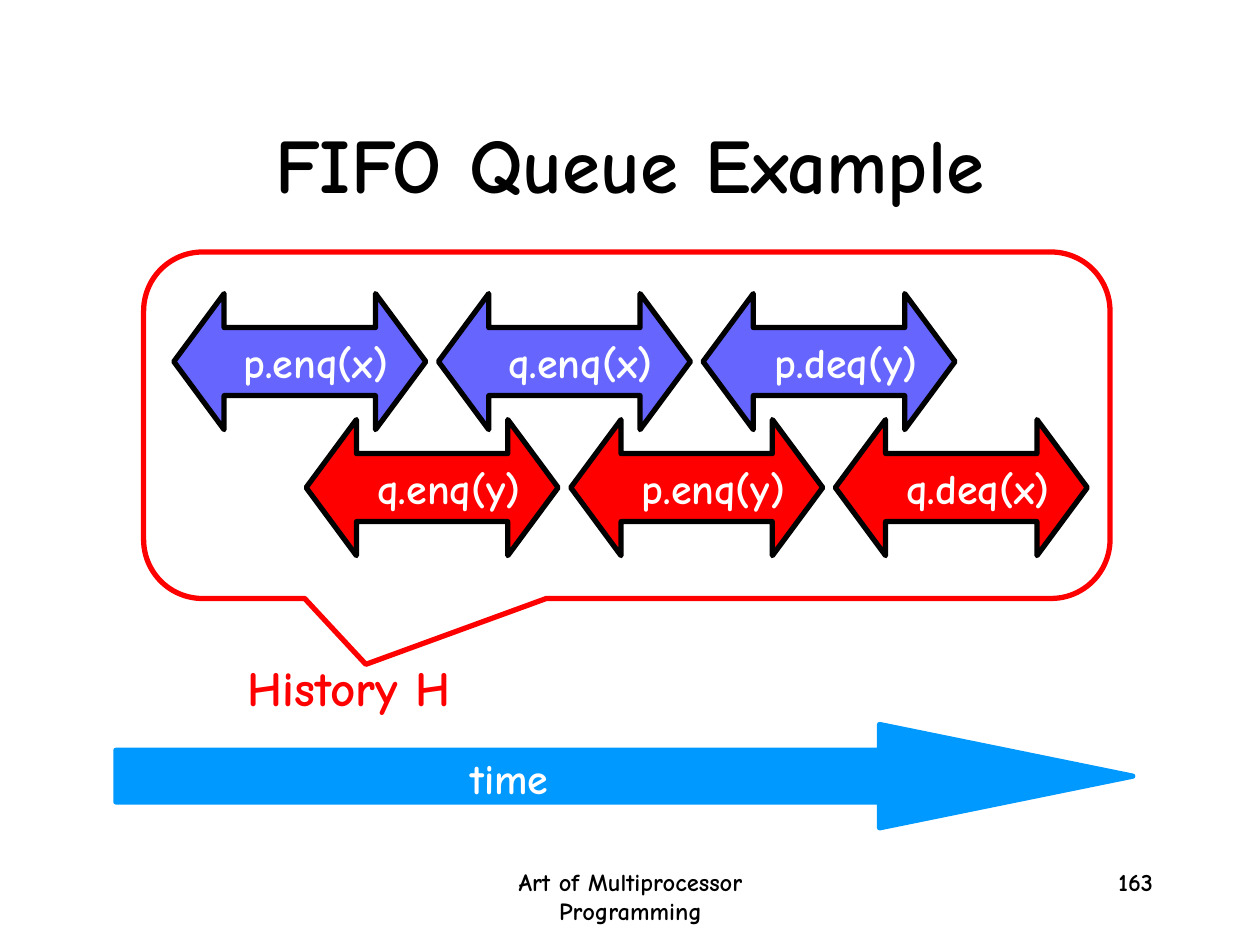
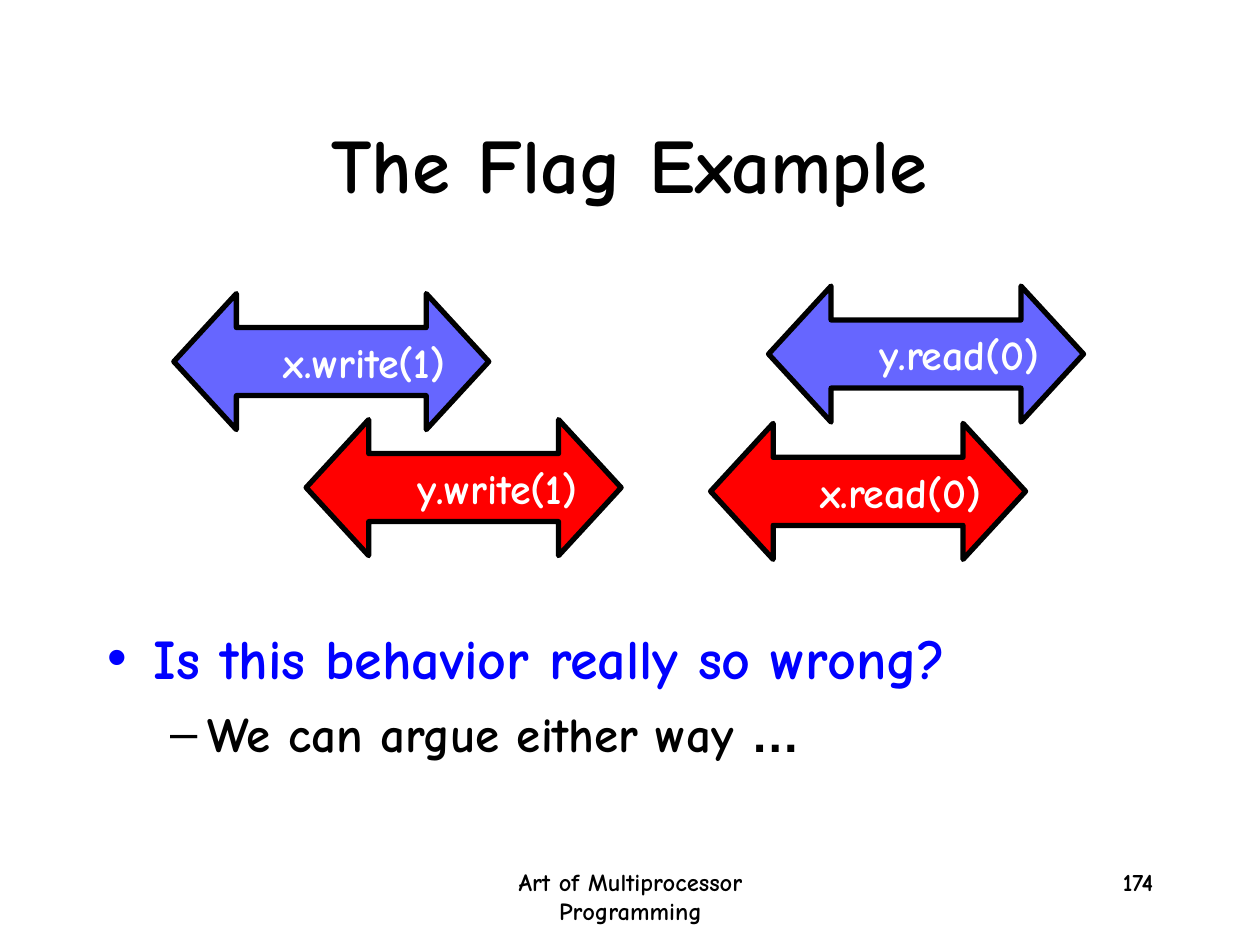
import lxml.etree
import pptx
import pptx.dml.color
import pptx.enum.shapes
import pptx.enum.text
import pptx.oxml.ns
import pptx.util

RGBColor = pptx.dml.color.RGBColor
BLACK = RGBColor(0x00, 0x00, 0x00)
WHITE = RGBColor(0xFF, 0xFF, 0xFF)
RED = RGBColor(0xFF, 0x00, 0x00)
BLUE = RGBColor(0x00, 0x00, 0xFF)
VIOLET = RGBColor(0x66, 0x66, 0xFF)
SKY = RGBColor(0x00, 0x99, 0xFF)

SHAPES = pptx.enum.shapes.MSO_SHAPE
ALIGN = pptx.enum.text.PP_ALIGN
ANCHOR = pptx.enum.text.MSO_ANCHOR
AUTO_SIZE = pptx.enum.text.MSO_AUTO_SIZE
FACE = "Comic Neue"
EMU_PER_PX = 9144
TITLE_AND_BODY, TITLE_ONLY = 1, 5


def px(*lengths):
    return [pptx.util.Emu(length * EMU_PER_PX) for length in lengths]


def write(para, text, size=24, color=WHITE, face=FACE, align=None):
    if align is not None:
        para.alignment = align
    span = para.add_run()
    span.text = text
    span.font.name = face
    span.font.size = pptx.util.Pt(size)
    span.font.bold = True
    span.font.color.rgb = color


class Page:
    def __init__(self, deck, layout, title, number):
        self.slide = deck.slides.add_slide(deck.slide_layouts[layout])
        self.shapes = self.slide.shapes
        self.label("Art of Multiprocessor Programming", 342, 683, 317, 50,
                   wrap=True, size=14, color=BLACK, align=ALIGN.CENTER)
        self.label(str(number), 717, 683, 208, 50,
                   wrap=True, size=14, color=BLACK, align=ALIGN.RIGHT)
        frame = self.place(self.shapes.title, 75, 67, 850, 125)
        frame.vertical_anchor = ANCHOR.MIDDLE
        write(frame.paragraphs[0], title, size=44, color=BLACK, align=ALIGN.CENTER)

    def place(self, holder, left, top, width, height):
        holder.left, holder.top, holder.width, holder.height = px(left, top, width, height)
        holder.text_frame.auto_size = AUTO_SIZE.NONE
        return holder.text_frame

    def label(self, text, left, top, width, height, wrap=False, **style):
        frame = self.shapes.add_textbox(*px(left, top, width, height)).text_frame
        frame.word_wrap = wrap
        frame.auto_size = AUTO_SIZE.NONE if wrap else AUTO_SIZE.SHAPE_TO_FIT_TEXT
        write(frame.paragraphs[0], text, **style)

    def outline(self, kind, left, top, width, height, adjustments, line, fill=None):
        shape = self.shapes.add_shape(kind, *px(left, top, width, height))
        shape.shadow.inherit = False
        for index, value in enumerate(adjustments):
            shape.adjustments[index] = value
        shape.line.color.rgb = line
        shape.line.width = pptx.util.Pt(3)
        if fill is None:
            shape.fill.background()
        else:
            shape.fill.solid()
            shape.fill.fore_color.rgb = fill
        return shape

    def call(self, text, left, top, fill, width, head):
        arrow = self.outline(SHAPES.LEFT_RIGHT_ARROW, left, top, width, 108,
                             [0.5, head], BLACK, fill)
        frame = arrow.text_frame
        frame.word_wrap = False
        frame.vertical_anchor = ANCHOR.MIDDLE
        write(frame.paragraphs[0], text, align=ALIGN.RIGHT)

    def bullet(self, para, mark, color, level, margin, hanging, space):
        para.level = level
        para.space_before = pptx.util.Pt(space)
        properties = para._p.get_or_add_pPr()
        indent, hang = px(margin, hanging)
        properties.set("marL", str(indent))
        properties.set("indent", str(-hang))
        tint = lxml.etree.SubElement(properties, pptx.oxml.ns.qn("a:buClr"))
        lxml.etree.SubElement(tint, pptx.oxml.ns.qn("a:srgbClr"), val=str(color))
        lxml.etree.SubElement(properties, pptx.oxml.ns.qn("a:buChar"), char=mark)


def build_queue(deck):
    page = Page(deck, TITLE_ONLY, "FIFO Queue Example", 163)
    threads = [
        (138, 233, VIOLET, ["p.enq(x)", "q.enq(x)", "p.deq(y)"]),
        (243, 333, RED, ["q.enq(y)", "p.enq(y)", "q.deq(x)"]),
    ]
    for left, top, fill, calls in threads:
        for step, text in enumerate(calls):
            page.call(text, left + 210 * step, top, fill, width=200, head=0.37)
    page.outline(SHAPES.ROUNDED_RECTANGULAR_CALLOUT, 114, 200, 767, 275,
                 [-0.27, 0.69, 0.17], RED)
    page.label("History H", 186, 517, 181, 57, size=28, color=RED, align=ALIGN.RIGHT)
    page.outline(SHAPES.RIGHT_ARROW, 92, 575, 807, 82, [0.5, 2.45], SKY, SKY)
    page.label("time", 363, 592, 82, 50, align=ALIGN.RIGHT)


def build_flag(deck):
    page = Page(deck, TITLE_AND_BODY, "The Flag Example", 174)
    frame = page.place(page.slide.placeholders[1], 75, 490, 850, 177)
    question = frame.paragraphs[0]
    page.bullet(question, "•", BLUE, level=0, margin=37, hanging=37, space=0)
    write(question, "Is this behavior really so wrong?", size=32, color=BLUE)
    answer = frame.add_paragraph()
    page.bullet(answer, "–", BLACK, level=1, margin=80, hanging=30, space=7)
    write(answer, "We can argue either way ", size=28, color=BLACK)
    write(answer, "…", size=28, color=BLACK, face="Arial")
    for text, left, top, fill in [
        ("x.write(1)", 138, 233, VIOLET),
        ("y.read(0)", 610, 227, VIOLET),
        ("y.write(1)", 243, 333, RED),
        ("x.read(0)", 564, 336, RED),
    ]:
        page.call(text, left, top, fill, width=250, head=0.46)


def main():
    deck = pptx.Presentation()
    deck.slide_width, deck.slide_height = px(1000, 750)
    build_queue(deck)
    build_flag(deck)
    deck.save("out.pptx")


if __name__ == "__main__":
    main()
